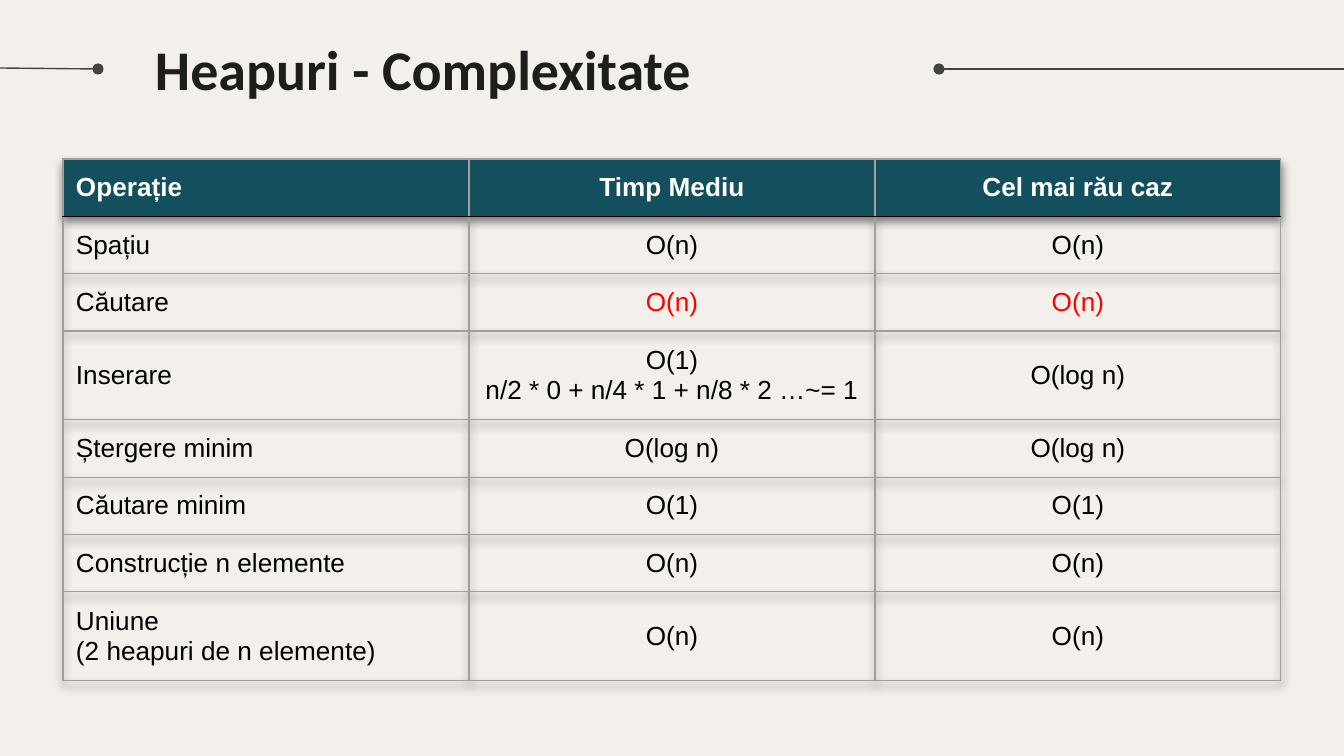
from dataclasses import dataclass

from lxml.etree import SubElement as Sub
from pptx import Presentation
from pptx.dml.color import RGBColor as RGB
from pptx.enum.shapes import MSO_CONNECTOR as Conn
from pptx.enum.text import MSO_ANCHOR as Anchor, PP_ALIGN as Align
from pptx.oxml import parse_xml
from pptx.oxml.ns import nsdecls, qn
from pptx.util import Emu, Pt

SCALE = 914400 / 134.4
WIDE, HIGH = 1344, 756


def px(n):
    return Emu(round(n * SCALE))


@dataclass(frozen=True)
class Theme:
    back: str = "F3EFEA"
    title: str = "1D1D1B"
    rule: str = "434343"
    grid: str = "9E9E9E"
    head: str = "134F5C"
    light: str = "FFFFFF"
    dark: str = "000000"
    alert: str = "FF0000"
    title_font: str = "Calibri"
    body_font: str = "Arial"
    title_size: int = 30
    body_size: int = 14
    line: float = 0.75
    inset: int = 13


class Deck:
    def __init__(self, theme, slide):
        self.theme, self.slide = theme, slide
        self.paint(slide.background.fill, theme.back)

    def paint(self, fill, color):
        fill.solid()
        fill.fore_color.rgb = RGB.from_string(color)

    def pad(self, box):
        """Centre a text frame or cell vertically and set its margins."""
        look = {"vertical_anchor": Anchor.MIDDLE}
        look |= {f"margin_{side}": px(self.theme.inset)
                 for side in ("left", "top", "right", "bottom")}
        for key, value in look.items():
            setattr(box, key, value)

    def text(self, frame, words, color, align=Align.LEFT, **font):
        """Put each line of words in its own paragraph."""
        frame.text = words
        for para in frame.paragraphs:
            para.alignment = align
            para.font.color.rgb = RGB.from_string(color)
            for key, value in font.items():
                setattr(para.font, key, value)

    def title(self, words, x, y, w, h):
        theme = self.theme
        frame = self.slide.shapes.add_textbox(px(x), px(y), px(w), px(h)).text_frame
        frame.word_wrap = True
        self.pad(frame)
        self.text(frame, words, theme.title, name=theme.title_font,
                  size=Pt(theme.title_size), bold=True)

    def rule(self, x1, y1, x2, y2):
        """Draw a thin line with a dot at its start."""
        line = self.slide.shapes.add_connector(
            Conn.STRAIGHT, px(x1), px(y1), px(x2), px(y2))
        line.line.width = Pt(self.theme.line)
        line.line.color.rgb = RGB.from_string(self.theme.rule)
        props = line._element.spPr
        Sub(props.find(qn("a:ln")), qn("a:headEnd"), type="oval")
        Sub(props, qn("a:effectLst"))

    def edge(self, cell, **colors):
        """Border all four sides; colors override the grid by side."""
        props = cell._tc.get_or_add_tcPr()
        for i, side in enumerate("LRTB"):
            color = colors.get(side, self.theme.grid)
            props.insert(i, parse_xml(
                f'<a:ln{side} {nsdecls("a")} w="{Pt(self.theme.line)}">'
                f'<a:solidFill><a:srgbClr val="{color}"/></a:solidFill>'
                f'</a:ln{side}>'))

    def cell(self, cell, words, row, col):
        theme = self.theme
        head = row == 0
        self.pad(cell)
        if head:
            self.paint(cell.fill, theme.head)
        else:
            cell.fill.background()
        dark = {0: {"B": theme.dark}, 1: {"T": theme.dark}}
        self.edge(cell, **dark.get(row, {}))
        color = theme.light if head else theme.dark
        if words.startswith("!"):
            words, color = words[1:], theme.alert
        self.text(cell.text_frame, words, color,
                  Align.CENTER if col else Align.LEFT,
                  name=theme.body_font, size=Pt(theme.body_size), bold=head)

    def shade(self, table):
        """Cast a soft shadow below the table."""
        table._tbl.tblPr.insert(0, parse_xml(
            f'<a:effectLst {nsdecls("a")}>'
            '<a:outerShdw blurRad="57150" dist="38100" dir="5400000">'
            f'<a:srgbClr val="{self.theme.dark}"><a:alpha val="50000"/></a:srgbClr>'
            '</a:outerShdw></a:effectLst>'))

    def table(self, rows, x, y, w, low, tall):
        """Rows with a two-line cell are tall; a leading ! marks alert text."""
        highs = [tall if "\n" in "".join(row) else low for row in rows]
        table = self.slide.shapes.add_table(
            len(rows), len(rows[0]), px(x), px(y), px(w), px(sum(highs))).table
        table.first_row = table.horz_banding = False
        self.shade(table)
        for r, row in enumerate(rows):
            table.rows[r].height = px(highs[r])
            for c, words in enumerate(row):
                self.cell(table.cell(r, c), words, r, c)


ROWS = [
    ("Operație", "Timp Mediu", "Cel mai rău caz"),
    ("Spațiu", "O(n)", "O(n)"),
    ("Căutare", "!O(n)", "!O(n)"),
    ("Inserare", "O(1)\nn/2 * 0 + n/4 * 1 + n/8 * 2 …~= 1", "O(log n)"),
    ("Ștergere minim", "O(log n)", "O(log n)"),
    ("Căutare minim", "O(1)", "O(1)"),
    ("Construcție n elemente", "O(n)", "O(n)"),
    ("Uniune\n(2 heapuri de n elemente)", "O(n)", "O(n)"),
]


def main():
    show = Presentation()
    show.slide_width, show.slide_height = px(WIDE), px(HIGH)
    deck = Deck(Theme(), show.slides.add_slide(show.slide_layouts[6]))
    deck.rule(98, 69, 0, 68)
    deck.rule(939, 69, WIDE, 69)
    deck.title("Heapuri - Complexitate", 142, 5, 906, 126)
    deck.table(ROWS, 63, 159, 1218, 56, 85)
    show.save("out.pptx")


if __name__ == "__main__":
    main()
